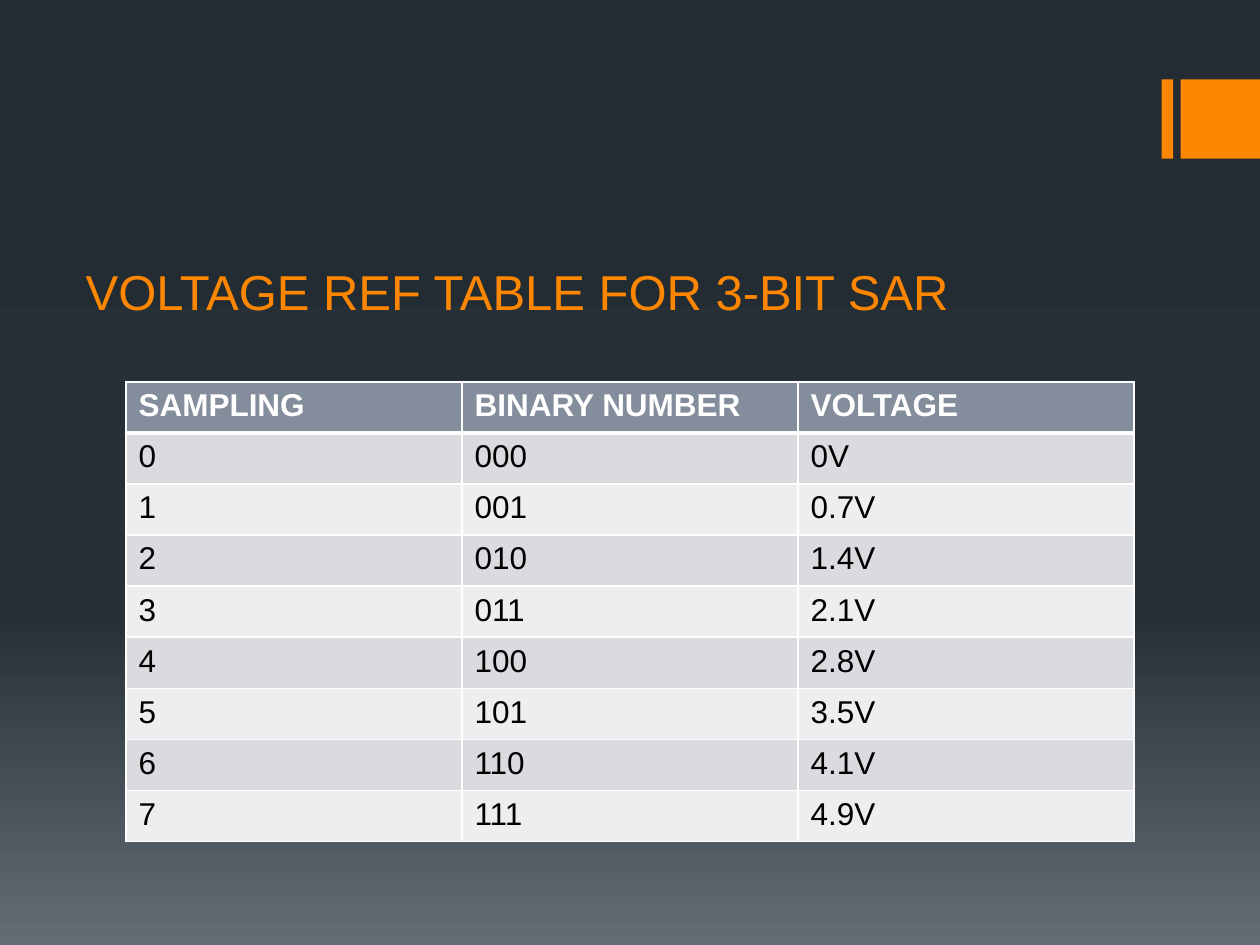
from copy import deepcopy

from lxml import etree
from pptx import Presentation
from pptx.dml.color import RGBColor
from pptx.enum.shapes import MSO_SHAPE
from pptx.enum.text import MSO_ANCHOR, PP_ALIGN
from pptx.oxml.ns import qn
from pptx.util import Inches, Pt

RECT = MSO_SHAPE.RECTANGLE
BOTTOM = MSO_ANCHOR.BOTTOM
LEFT = PP_ALIGN.LEFT

ORANGE = RGBColor(0xFF, 0x86, 0x00)
WHITE = RGBColor(0xFF, 0xFF, 0xFF)
BLACK = RGBColor(0x00, 0x00, 0x00)
SLATE = RGBColor(0x83, 0x8D, 0x9B)
BANDS = RGBColor(0xD9, 0xDB, 0xDE), RGBColor(0xED, 0xEE, 0xEF)
SKY = [
    (0, RGBColor(0x24, 0x2C, 0x33)),
    (0.65, RGBColor(0x27, 0x30, 0x37)),
    (1, RGBColor(0x63, 0x6D, 0x76)),
]

FONT = "Arial"
HEADS = ["SAMPLING", "BINARY NUMBER", "VOLTAGE"]
VOLTS = ["0V", "0.7V", "1.4V", "2.1V", "2.8V", "3.5V", "4.1V", "4.9V"]


def set_sky(slide):
    """Fill the background with a three-stop gradient, dark at the top."""
    fill = slide.background.fill
    fill.gradient()
    fill.gradient_angle = 270
    stops = slide.element.find(".//" + qn("a:gsLst"))
    stops.append(deepcopy(stops[0]))
    for stop, (place, color) in zip(fill.gradient_stops, SKY):
        stop.position = place
        stop.color.rgb = color


def add_block(slide, left, width):
    block = slide.shapes.add_shape(
        RECT, Inches(left), Inches(0.63), Inches(width), Inches(0.63))
    block.shadow.inherit = False
    block.fill.solid()
    block.fill.fore_color.rgb = ORANGE
    block.line.fill.background()


def add_run(para, text, size, color, bold=False):
    run = para.add_run()
    run.text = text
    font = run.font
    font.name, font.size, font.bold = FONT, Pt(size), bold
    font.color.rgb = color


def set_title(slide, text):
    title = slide.shapes.title
    title.left, title.top = Inches(0.58), Inches(1.33)
    title.width, title.height = Inches(8.33), Inches(1.26)
    title.text_frame.vertical_anchor = BOTTOM
    para = title.text_frame.paragraphs[0]
    para.alignment = LEFT
    add_run(para, text, 28, ORANGE)


def set_edges(cell, top, bottom):
    """Draw white borders; call before the cell is filled."""
    props = cell._tc.get_or_add_tcPr()
    for side, width in (("L", 1), ("R", 1), ("T", top), ("B", bottom)):
        line = etree.SubElement(props, qn("a:ln" + side), w=str(Pt(width)))
        solid = etree.SubElement(line, qn("a:solidFill"))
        etree.SubElement(solid, qn("a:srgbClr"), val=str(WHITE))


def add_grid(slide, rows):
    """Add a table with a header row and banded body rows."""
    table = slide.shapes.add_table(
        len(rows), len(HEADS), Inches(1), Inches(3.03),
        Inches(8), Inches(3.65)).table
    for r, row in enumerate(rows):
        head = r == 0
        for c, text in enumerate(row):
            cell = table.cell(r, c)
            set_edges(cell, 3 if r == 1 else 1, 3 if head else 1)
            cell.fill.solid()
            cell.fill.fore_color.rgb = SLATE if head else BANDS[(r - 1) % 2]
            add_run(cell.text_frame.paragraphs[0], text, 18,
                    WHITE if head else BLACK, head)


def main():
    deck = Presentation()
    deck.slide_width, deck.slide_height = Inches(10), Inches(7.5)
    slide = deck.slides.add_slide(deck.slide_layouts[5])
    set_sky(slide)
    add_block(slide, 9.22, 0.09)
    add_block(slide, 9.37, 0.63)
    set_title(slide, "VOLTAGE REF TABLE FOR 3-BIT SAR")
    body = [[str(n), f"{n:03b}", volt] for n, volt in enumerate(VOLTS)]
    add_grid(slide, [HEADS] + body)
    deck.save("out.pptx")


if __name__ == "__main__":
    main()
